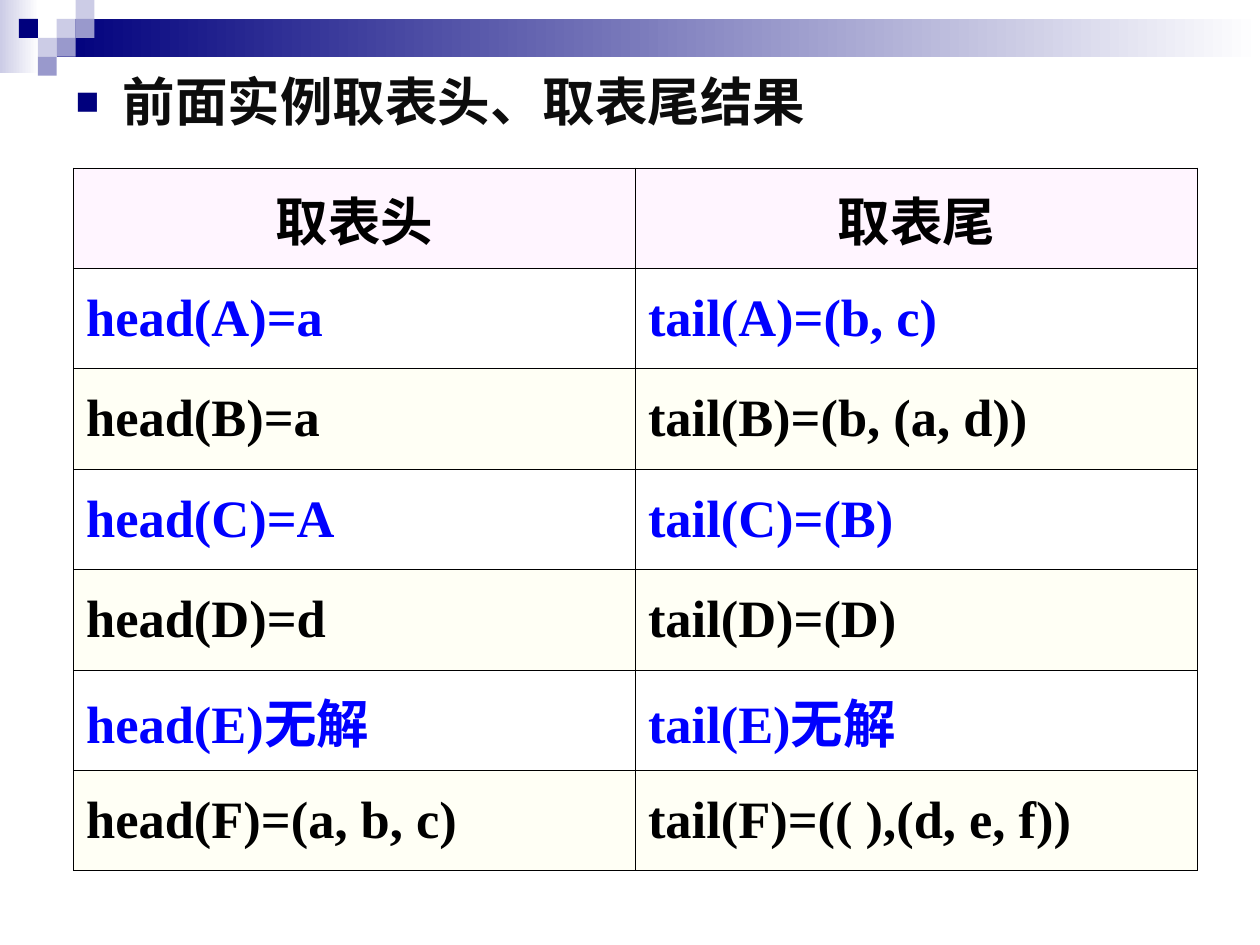
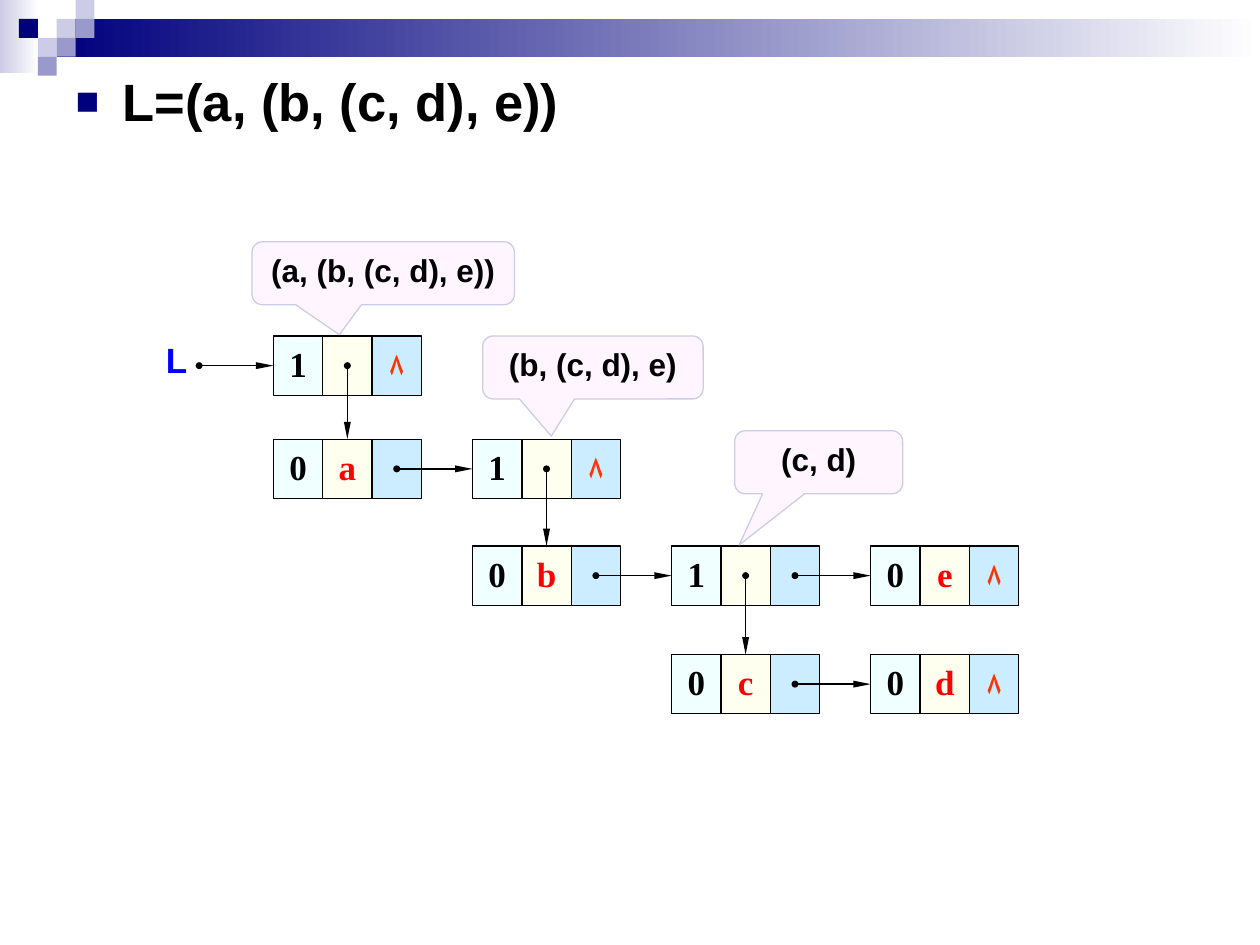
from lxml import etree
from pptx import Presentation
from pptx.dml.color import RGBColor
from pptx.enum.shapes import MSO_CONNECTOR, MSO_SHAPE
from pptx.enum.text import MSO_ANCHOR, MSO_AUTO_SIZE, PP_ALIGN
from pptx.oxml.ns import qn
from pptx.util import Pt

BLACK, BLUE, RED, ORANGE = "000000", "0000FF", "FF0000", "FF3300"
WHITE, NAVY, LILAC, VIOLET = "FFFFFF", "00007D", "CCCCE6", "9999CC"
PINK, CREAM = "FFF5FF", "FFFFF5"
CELL_FILLS = ("F0FFFF", "FFFFF0", "CCECFF")  # tag, value, next link

SQUARE = 10.8
SQUARES = [(3, 1, LILAC), (4, 0, LILAC), (4, 1, VIOLET), (2, 2, LILAC),
           (1, 1, NAVY), (3, 2, VIOLET), (2, 3, VIOLET)]

ROWS = [("取表头", "取表尾"),
        ("head(A)=a", "tail(A)=(b, c)"),
        ("head(B)=a", "tail(B)=(b, (a, d))"),
        ("head(C)=A", "tail(C)=(B)"),
        ("head(D)=d", "tail(D)=(D)"),
        ("head(E)无解", "tail(E)无解"),
        ("head(F)=(a, b, c)", "tail(F)=(( ),(d, e, f))")]

NULL = "۸"
CELL_WIDTH, CELL_HEIGHT = 28.2, 33.9
COLUMN_PITCH = 113.8
LEVEL_TOPS = (0, 59, 120, 182)
# name: (column, level, texts of the three cells)
NODES = {"L": (0, 0, ("1", "", NULL)),
         "a": (0, 1, ("0", "a", "")),
         "bcde": (1, 1, ("1", "", NULL)),
         "b": (1, 2, ("0", "b", "")),
         "cd": (2, 2, ("1", "", "")),
         "e": (3, 2, ("0", "e", NULL)),
         "c": (2, 3, ("0", "c", "")),
         "d": (3, 3, ("0", "d", NULL))}
DOWN_LINKS = [("L", "a"), ("bcde", "b"), ("cd", "c")]
NEXT_LINKS = [("a", "bcde"), ("b", "cd"), ("cd", "e"), ("c", "d")]
# text, left, top, width, pointer tip
CALLOUTS = [("(a, (b, (c, d), e))", -12.2, -53.8, 150, (-0.167, 0.976)),
            ("(b, (c, d), e)", 119.6, 0, 126, (-0.189, 1.09)),
            ("(c, d)", 263.6, 54.2, 96, (-0.473, 1.312))]


def rgb(value):
    return RGBColor.from_string(value)


def set_font(para, size, name, color):
    para.font.size = Pt(size)
    para.font.name = name
    para.font.bold = True
    para.font.color.rgb = rgb(color)


def add_box(page, kind, left, top, width, height, fill, line=None):
    box = page.shapes.add_shape(kind, Pt(left), Pt(top), Pt(width), Pt(height))
    box.shadow.inherit = False
    box.fill.solid()
    box.fill.fore_color.rgb = rgb(fill)
    if line:
        box.line.color.rgb = rgb(line)
        box.line.width = Pt(0.75)
    else:
        box.line.fill.background()
    return box


def add_fade(page, left, top, width, height, color):
    """Add a rectangle that fades from the colour to white, left to right."""
    box = add_box(page, MSO_SHAPE.RECTANGLE, left, top, width, height, color)
    box.fill.gradient()
    box.fill.gradient_angle = 0
    for stop, shade in zip(box.fill.gradient_stops, (color, WHITE)):
        stop.color.rgb = rgb(shade)


def add_band(page):
    add_fade(page, 0, 0, 22.3, 41.8, LILAC)
    add_fade(page, 3 * SQUARE, SQUARE, 720 - 3 * SQUARE, 2 * SQUARE, NAVY)
    for column, row, color in SQUARES:
        add_box(page, MSO_SHAPE.RECTANGLE, column * SQUARE, row * SQUARE,
                SQUARE, SQUARE, color)


def add_bullet(para):
    properties = para._p.get_or_add_pPr()
    properties.set("marL", str(Pt(27)))
    properties.set("indent", str(Pt(-27)))
    color = etree.SubElement(properties, qn("a:buClr"))
    etree.SubElement(color, qn("a:srgbClr"), val=NAVY)
    etree.SubElement(properties, qn("a:buSzPct"), val="75000")
    etree.SubElement(properties, qn("a:buFont"), typeface="Arial")
    etree.SubElement(properties, qn("a:buChar"), char="■")


def add_page(deck, heading, color):
    """Add a slide with the band and one bulleted heading in its body."""
    page = deck.slides.add_slide(deck.slide_layouts[1])
    title = page.shapes.title
    title._element.getparent().remove(title._element)
    add_band(page)
    body = page.placeholders[1]
    body.left, body.top, body.width, body.height = Pt(36), Pt(36), Pt(648), Pt(504)
    body.text_frame.auto_size = MSO_AUTO_SIZE.NONE
    para = body.text_frame.paragraphs[0]
    para.text = heading
    add_bullet(para)
    para.space_before = Pt(0)
    set_font(para, 30, "Arial", color)
    return page


def add_borders(cell):
    properties = cell._tc.get_or_add_tcPr()
    for index, side in enumerate(("lnL", "lnR", "lnT", "lnB")):
        line = etree.Element(qn(f"a:{side}"), w=str(Pt(0.45)))
        fill = etree.SubElement(line, qn("a:solidFill"))
        etree.SubElement(fill, qn("a:srgbClr"), val=BLACK)
        properties.insert(index, line)


def add_results(page, left, top, column_width, row_height):
    table = page.shapes.add_table(
        len(ROWS), 2, Pt(left), Pt(top), Pt(2 * column_width),
        Pt(len(ROWS) * row_height)).table
    table.first_row = table.horz_banding = False
    for column in table.columns:
        column.width = Pt(column_width)
    for index, texts in enumerate(ROWS):
        table.rows[index].height = Pt(row_height)
        is_blue = index % 2 == 1
        for cell, text in zip(table.rows[index].cells, texts):
            cell.text = text
            cell.vertical_anchor = MSO_ANCHOR.MIDDLE
            para = cell.text_frame.paragraphs[0]
            para.alignment = PP_ALIGN.LEFT if index else PP_ALIGN.CENTER
            set_font(para, 30, "Times New Roman", BLUE if is_blue else BLACK)
            if is_blue:
                cell.fill.background()
            else:
                cell.fill.solid()
                cell.fill.fore_color.rgb = rgb(CREAM if index else PINK)
            add_borders(cell)


def add_node(page, left, top, texts):
    """Add a row of three cells and return them."""
    cells = []
    for index, (text, fill) in enumerate(zip(texts, CELL_FILLS)):
        cell = add_box(page, MSO_SHAPE.RECTANGLE, left + index * CELL_WIDTH, top,
                       CELL_WIDTH, CELL_HEIGHT, fill, BLACK)
        cells.append(cell)
        if not text:
            continue
        frame = cell.text_frame
        frame.word_wrap = False
        frame.vertical_anchor = MSO_ANCHOR.MIDDLE
        frame.margin_top = Pt(0.7)
        para = frame.paragraphs[0]
        para.text = text
        para.alignment = PP_ALIGN.CENTER
        if text == NULL:
            set_font(para, 18, "Arial", ORANGE)
        else:
            set_font(para, 20, "Times New Roman", RED if index == 1 else BLACK)
    return cells


def add_arrow(page, start_x, start_y, target, side):
    """Draw a dotted-start arrow that ends on one side of the target cell."""
    arrow = page.shapes.add_connector(
        MSO_CONNECTOR.STRAIGHT, start_x, start_y, start_x, start_y)
    arrow.end_connect(target, side)
    arrow.line.color.rgb = rgb(BLACK)
    arrow.line.width = Pt(0.75)
    line = arrow.line._get_or_add_ln()
    etree.SubElement(line, qn("a:headEnd"), type="oval", w="sm", len="sm")
    etree.SubElement(line, qn("a:tailEnd"), type="triangle", w="sm", len="lg")
    etree.SubElement(arrow._element.spPr, qn("a:effectLst"))


def add_link(page, source, target, side):
    add_arrow(page, source.left + source.width // 2,
              source.top + source.height // 2, target, side)


def add_callout(page, left, top, width, text, tip):
    box = add_box(page, MSO_SHAPE.ROUNDED_RECTANGULAR_CALLOUT, left, top,
                  width, 36, PINK, LILAC)
    for index, value in enumerate((*tip, 0.167)):
        box.adjustments[index] = value
    box.text_frame.word_wrap = True
    box.text_frame.vertical_anchor = MSO_ANCHOR.TOP
    para = box.text_frame.paragraphs[0]
    para.text = text
    para.alignment = PP_ALIGN.CENTER
    set_font(para, 18, "Arial", BLACK)


def add_list_diagram(page, left, top):
    """Place the linked nodes with the first node at the given corner."""
    nodes = {name: add_node(page, left + column * COLUMN_PITCH,
                            top + LEVEL_TOPS[level], texts)
             for name, (column, level, texts) in NODES.items()}
    for source, target in DOWN_LINKS:
        add_link(page, nodes[source][1], nodes[target][1], 0)
    for source, target in NEXT_LINKS:
        add_link(page, nodes[source][2], nodes[target][0], 1)
    for text, offset_x, offset_y, width, tip in CALLOUTS:
        add_callout(page, left + offset_x, top + offset_y, width, text, tip)
    add_arrow(page, Pt(left - 42.4), Pt(top + CELL_HEIGHT / 2), nodes["L"][0], 1)
    label = page.shapes.add_textbox(Pt(left - 68.4), Pt(top - 2), Pt(26.6), Pt(31.7))
    label.text_frame.word_wrap = False
    para = label.text_frame.paragraphs[0]
    para.text = "L"
    set_font(para, 20, "Arial", BLUE)


def main():
    deck = Presentation()
    deck.slide_width, deck.slide_height = Pt(720), Pt(540)
    results = add_page(deck, "前面实例取表头、取表尾结果", "0D0D0D")
    add_results(results, 42, 96, 321.1, 57.4)
    diagram = add_page(deck, "L=(a, (b, (c, d), e))", BLACK)
    add_list_diagram(diagram, 156.2, 192)
    deck.save("out.pptx")


if __name__ == "__main__":
    main()
